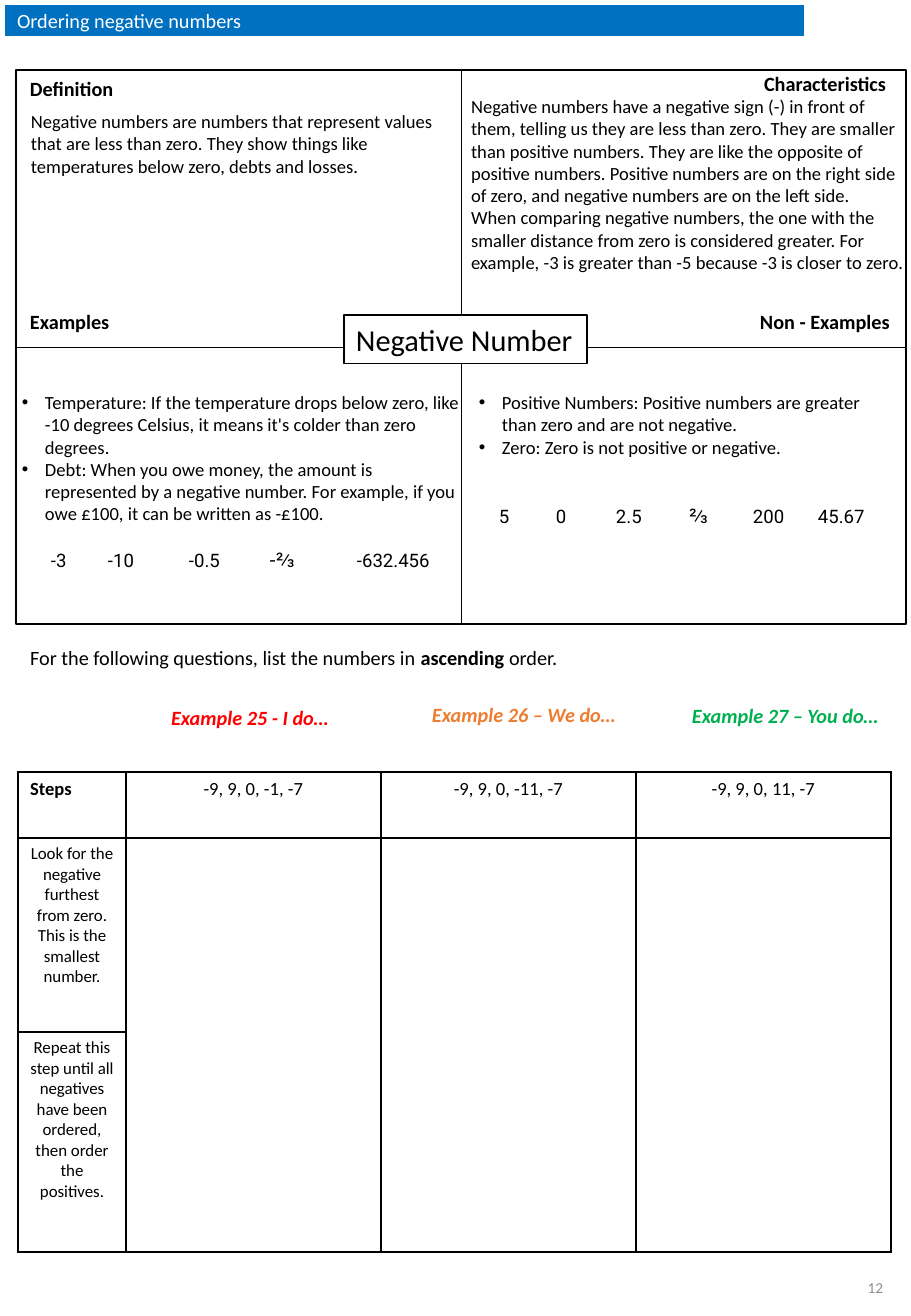
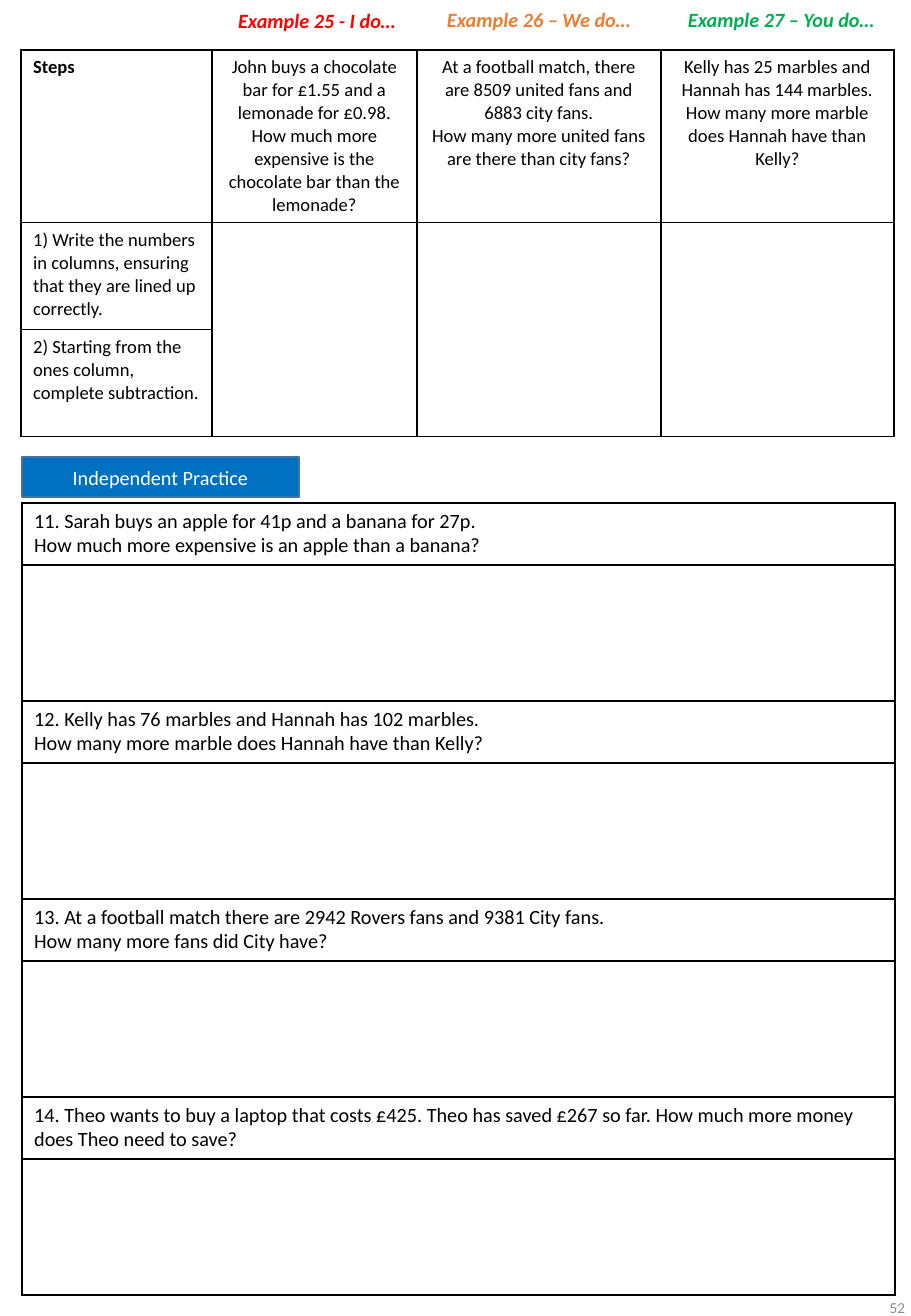
from dataclasses import dataclass, field, replace

from lxml.etree import SubElement
from pptx import Presentation
from pptx.dml.color import RGBColor
from pptx.enum.shapes import MSO_CONNECTOR as Connector, MSO_SHAPE as Preset
from pptx.enum.text import MSO_ANCHOR as Anchor, MSO_AUTO_SIZE as AutoSize, PP_ALIGN as Align
from pptx.oxml.ns import qn
from pptx.util import Pt

PX = 7526
PAGE_WIDTH, PAGE_HEIGHT = 911, 1316
INSET_X, INSET_Y = 12, 6


@dataclass(frozen=True)
class Look:
    """Describe how a run of text is set."""
    size: int = 11
    color: str = "000000"
    bold: bool = False
    italic: bool = False
    align: Align = Align.LEFT
    font: str = "Calibri"


@dataclass(frozen=True)
class Theme:
    """Hold the colours and type styles of the deck."""
    ink: str = "000000"
    paper: str = "FFFFFF"
    band: str = "0070C0"
    band_edge: str = "43739E"
    teaching: tuple = (("Example 25 - I do…", "FF0000"),
                       ("Example 26 – We do…", "ED7D31"),
                       ("Example 27 – You do…", "00B050"))
    body: Look = field(default_factory=Look)
    centred: Look = Look(align=Align.CENTER)
    step: Look = Look(size=10, align=Align.CENTER)
    label: Look = Look(bold=True)
    question: Look = Look(size=12)
    heading: Look = Look(size=12, bold=True)
    example: Look = Look(size=12, bold=True, italic=True)
    term: Look = Look(size=18)
    title: Look = Look(size=12, color="FFFFFF")
    number: Look = Look(size=9, color="8C8C8C", align=Align.RIGHT)
    figure: Look = Look(font="Roboto")
    fraction: Look = Look(size=12, font="Roboto")


THEME = Theme()


def rgb(code):
    """Turn a hex code into a colour."""
    return RGBColor.from_string(code)


def place(*lengths):
    """Turn px lengths into EMU."""
    return [length * PX for length in lengths]


def add_span(para, text, look):
    """Add one formatted run to a paragraph."""
    span = para.add_run()
    span.text = text
    font = span.font
    font.name, font.size = look.font, Pt(look.size)
    font.bold, font.italic = look.bold, look.italic
    font.color.rgb = rgb(look.color)


def write(frame, paras, look):
    """Fill a text frame; a paragraph is a string or (text, look) spans."""
    for index, content in enumerate(paras):
        para = frame.add_paragraph() if index else frame.paragraphs[0]
        para.alignment = look.align
        spans = [(content, look)] if isinstance(content, str) else content
        for text, span_look in spans:
            add_span(para, text, span_look)


def set_frame(frame, anchor=Anchor.TOP, wrap=True, inset_x=INSET_X, inset_y=INSET_Y):
    """Set the wrapping, anchor and insets of a text frame."""
    frame.auto_size = AutoSize.NONE
    frame.word_wrap = wrap
    frame.vertical_anchor = anchor
    frame.margin_left = frame.margin_right = inset_x * PX
    frame.margin_top = frame.margin_bottom = inset_y * PX


def add_text(page, area, paras, look):
    """Add a wrapped text box and return its frame."""
    frame = page.shapes.add_textbox(*place(*area)).text_frame
    set_frame(frame)
    write(frame, paras, look)
    return frame


def paint(shape, fill, line=None, width=1):
    """Fill and outline a shape."""
    shape.fill.solid()
    shape.fill.fore_color.rgb = rgb(fill)
    if line:
        shape.line.color.rgb = rgb(line)
        shape.line.width = Pt(width)
    else:
        shape.line.fill.background()


def add_box(page, area, width):
    """Add a white rectangle with a thin outline."""
    box = page.shapes.add_shape(Preset.RECTANGLE, *place(*area))
    box.shadow.inherit = False
    paint(box, THEME.paper, THEME.ink, width)
    return box


def add_divider(page, box, begin, end):
    """Join two sides of a box with a thin line."""
    line = page.shapes.add_connector(Connector.STRAIGHT, 0, 0, 0, 0)
    line.begin_connect(box, begin)
    line.end_connect(box, end)
    line.line.color.rgb = rgb(THEME.ink)
    line.line.width = Pt(0.5)
    SubElement(line._element.spPr, qn("a:effectLst"))


def set_title(page, area, text, align=Align.LEFT, line=None):
    """Turn the title placeholder into a blue band."""
    title = page.shapes.title
    title.left, title.top, title.width, title.height = place(*area)
    paint(title, THEME.band, line)
    set_frame(title.text_frame, Anchor.MIDDLE)
    write(title.text_frame, [text], replace(THEME.title, align=align))


def add_page_number(page, text, left, top):
    """Add the grey page number."""
    frame = add_text(page, (left, top, 193, 16), [text], THEME.number)
    set_frame(frame, Anchor.MIDDLE, inset_x=0, inset_y=0)


def add_example_headings(page, spots):
    """Add the three coloured example headings."""
    for (text, color), (left, top, width) in zip(THEME.teaching, spots):
        add_text(page, (left, top, width, 36), [text], replace(THEME.example, color=color))


def make_bullet(para):
    """Give a paragraph a hanging bullet."""
    props = para._p.get_or_add_pPr()
    props.set("marL", str(23 * PX))
    props.set("indent", str(-23 * PX))
    SubElement(props, qn("a:buFont"), typeface="Arial")
    SubElement(props, qn("a:buChar"), char="•")


def add_figures(frame, figures, gap):
    """Add a row of numbers, each at its own tab stop."""
    para = frame.add_paragraph()
    stops = SubElement(para._p.get_or_add_pPr(), qn("a:tabLst"))
    para.space_before = Pt(gap)
    for text, stop in figures:
        SubElement(stops, qn("a:tab"), pos=str(stop * PX), algn="l")
        add_span(para, "\t" + text, THEME.fraction if "⅔" in text else THEME.figure)


def add_bullets(page, area, bullets, figures, gap):
    """Add a bulleted list that ends with a row of numbers."""
    frame = add_text(page, area, bullets, THEME.body)
    for para in frame.paragraphs:
        make_bullet(para)
    add_figures(frame, figures, gap)


def set_borders(cell, solid_sides):
    """Draw the named sides of a cell and clear the others."""
    props = cell._tc.get_or_add_tcPr()
    for side in ("lnL", "lnR", "lnT", "lnB"):
        edge = SubElement(props, qn("a:" + side), w=str(Pt(1)))
        if side in solid_sides:
            fill = SubElement(edge, qn("a:solidFill"))
            SubElement(fill, qn("a:srgbClr"), val=THEME.ink)
        else:
            SubElement(edge, qn("a:noFill"))


def add_grid(page, corner, widths, heights, cells, merges=(), open_rows=0):
    """Add a white ruled table; the first open_rows rows have no rules."""
    area = (*corner, sum(widths), sum(heights))
    table = page.shapes.add_table(len(heights), len(widths), *place(*area)).table
    table.first_row = table.horz_banding = False
    for column, width in zip(table.columns, widths):
        column.width = width * PX
    for index, (row, height) in enumerate(zip(table.rows, heights)):
        row.height = height * PX
        sides = ("lnL", "lnR", "lnT", "lnB")
        if index < open_rows:
            sides = ("lnB",) if index == open_rows - 1 else ()
        for cell in row.cells:
            set_borders(cell, sides)
            cell.fill.solid()
            cell.fill.fore_color.rgb = rgb(THEME.paper)
    for first, last in merges:
        table.cell(*first).merge(table.cell(*last))
    for spot, (paras, look) in cells.items():
        write(table.cell(*spot).text_frame, paras, look)


def build_concept_page(page):
    """Build the page that defines and orders negative numbers."""
    add_page_number(page, "12", 690, 1280)
    frame = add_box(page, (16, 70, 890, 554), 1)
    add_divider(page, frame, 1, 3)
    add_divider(page, frame, 2, 0)
    for text, left, top, width in (("Definition", 18, 70, 115), ("Characteristics", 752, 65, 154),
                                   ("Examples", 18, 303, 110), ("Non - Examples", 748, 303, 158)):
        add_text(page, (left, top, width, 36), [text], THEME.heading)
    add_text(page, (19, 104, 429, 80), [
        "Negative numbers are numbers that represent values that are less than zero. "
        "They show things like temperatures below zero, debts and losses."], THEME.body)
    term = add_box(page, (344, 315, 243, 49), 0.75)
    set_frame(term.text_frame, wrap=False)
    write(term.text_frame, ["Negative Number"], THEME.term)
    add_bullets(page, (467, 385, 429, 149), [
        "Positive Numbers: Positive numbers are greater than zero and are not negative.",
        "Zero: Zero is not positive or negative."],
        (("5", 20), ("0", 77), ("2.5", 137), ("⅔", 210), ("200", 274), ("45.67", 339)), 26.8)
    traits = add_text(page, (459, 89, 452, 192), [
        "Negative numbers have a negative sign (-) in front of them, telling us they are less "
        "than zero. They are smaller than positive numbers. They are like the opposite of "
        "positive numbers. Positive numbers are on the right side of zero, and negative "
        "numbers are on the left side.",
        "When comparing negative numbers, the one with the smaller distance from zero is "
        "considered greater. For example, -3 is greater than -5 because -3 is closer to zero."],
        THEME.body)
    traits.margin_right = 0
    add_bullets(page, (10, 385, 462, 194), [
        "Temperature: If the temperature drops below zero, like -10 degrees Celsius, it means "
        "it's colder than zero degrees.",
        "Debt: When you owe money, the amount is represented by a negative number. For "
        "example, if you owe £100, it can be written as -£100."],
        (("-3", 29), ("-10", 86), ("-0.5", 167), ("-⅔", 248), ("-632.456", 335)), 13.4)
    set_title(page, (5, 5, 799, 31), "Ordering negative numbers")
    instruction = [("For the following questions, list the numbers in ", THEME.question),
                   ("ascending", THEME.heading), (" order.", THEME.question)]
    cells = {
        (0, 0): ([instruction], THEME.question),
        (2, 0): (["Steps"], THEME.label),
        (2, 1): (["-9, 9, 0, -1, -7"], THEME.centred),
        (2, 2): (["-9, 9, 0, -11, -7"], THEME.centred),
        (2, 3): (["-9, 9, 0, 11, -7"], THEME.centred),
        (3, 0): (["Look for the negative furthest from zero. This is the smallest number."],
                 THEME.step),
        (4, 0): (["Repeat this step until all negatives have been ordered, then order the "
                  "positives."], THEME.step)}
    merges = [((0, 0), (0, 3))] + [((3, col), (4, col)) for col in (1, 2, 3)]
    add_grid(page, (18, 640), [108] + [255] * 3, [66] * 3 + [194, 220], cells, merges, 2)
    add_example_headings(page, ((159, 699, 187), (420, 696, 219), (680, 697, 219)))


def build_practice_page(page):
    """Build the page of worked examples and practice questions."""
    add_page_number(page, "52", 712, 1300)
    set_title(page, (22, 457, 277, 40), "Independent Practice", Align.CENTER, THEME.band_edge)
    questions = (
        ["11. Sarah buys an apple for 41p and a banana for 27p.",
         "How much more expensive is an apple than a banana?"],
        ["12. Kelly has 76 marbles and Hannah has 102 marbles.",
         "How many more marble does Hannah have than Kelly?"],
        ["13. At a football match there are 2942 Rovers fans and 9381 City fans.",
         "How many more fans did City have?"],
        ["14. Theo wants to buy a laptop that costs £425. Theo has saved £267 so far. "
         "How much more money does Theo need to save?"])
    cells = {(2 * index, 0): (paras, THEME.question) for index, paras in enumerate(questions)}
    add_grid(page, (22, 503), [873], [62, 136] * len(questions), cells)
    cells = {
        (0, 0): (["Steps"], THEME.label),
        (0, 1): (["John buys a chocolate bar for £1.55 and a lemonade for £0.98.",
                  "How much more expensive is the chocolate bar than the lemonade?"],
                 THEME.centred),
        (0, 2): (["At a football match, there are 8509 united fans and 6883 city fans.",
                  "How many more united fans are there than city fans?"], THEME.centred),
        (0, 3): (["Kelly has 25 marbles and Hannah has 144 marbles.",
                  "How many more marble does Hannah have than Kelly?"], THEME.centred),
        (1, 0): (["1) Write the numbers in columns, ensuring that they are lined up "
                  "correctly."], THEME.body),
        (2, 0): (["2) Starting from the ones column, complete subtraction."], THEME.body)}
    merges = [((1, col), (2, col)) for col in (1, 2, 3)]
    add_grid(page, (21, 50), [191, 205, 244, 233], [172, 107, 107], cells, merges)
    add_example_headings(page, ((226, 2, 187), (435, 1, 219), (676, 1, 219)))


def main():
    """Build and save the deck."""
    deck = Presentation()
    deck.slide_width, deck.slide_height = place(PAGE_WIDTH, PAGE_HEIGHT)
    for build in (build_concept_page, build_practice_page):
        build(deck.slides.add_slide(deck.slide_layouts[5]))
    deck.save("out.pptx")


if __name__ == "__main__":
    main()
